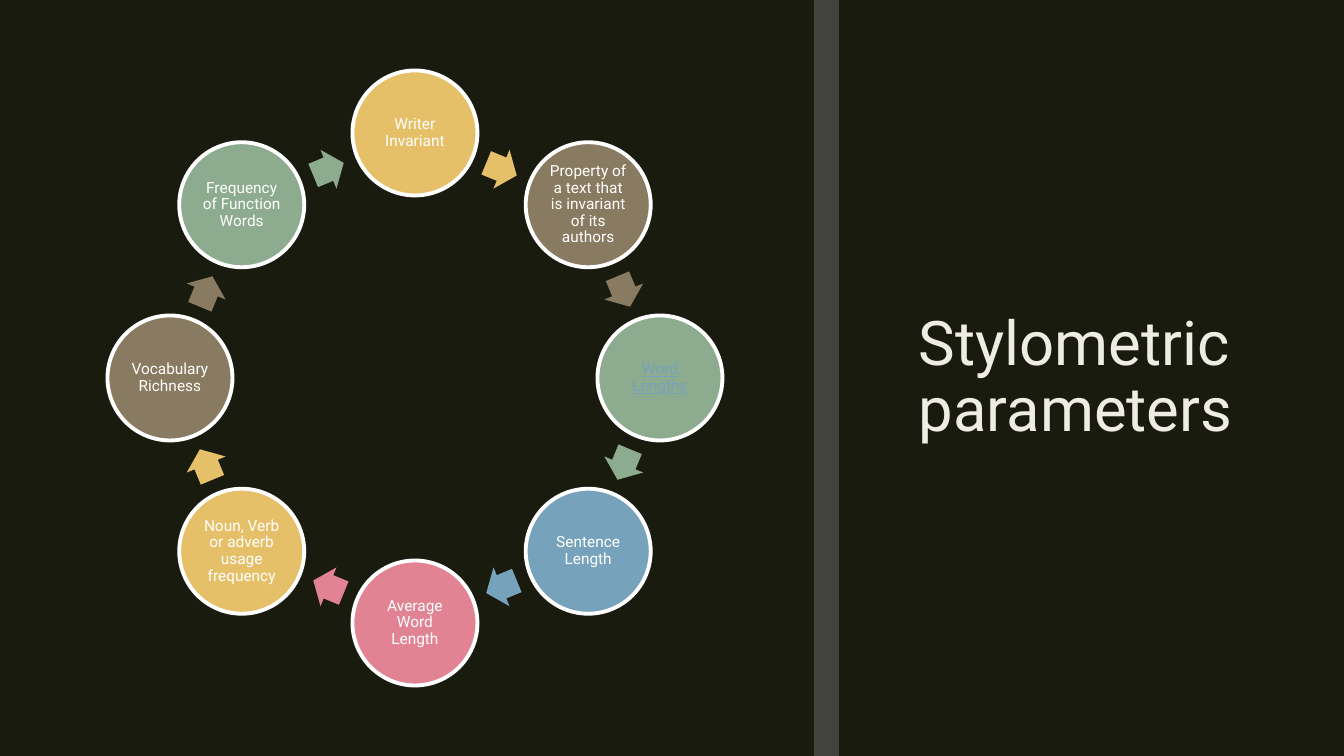
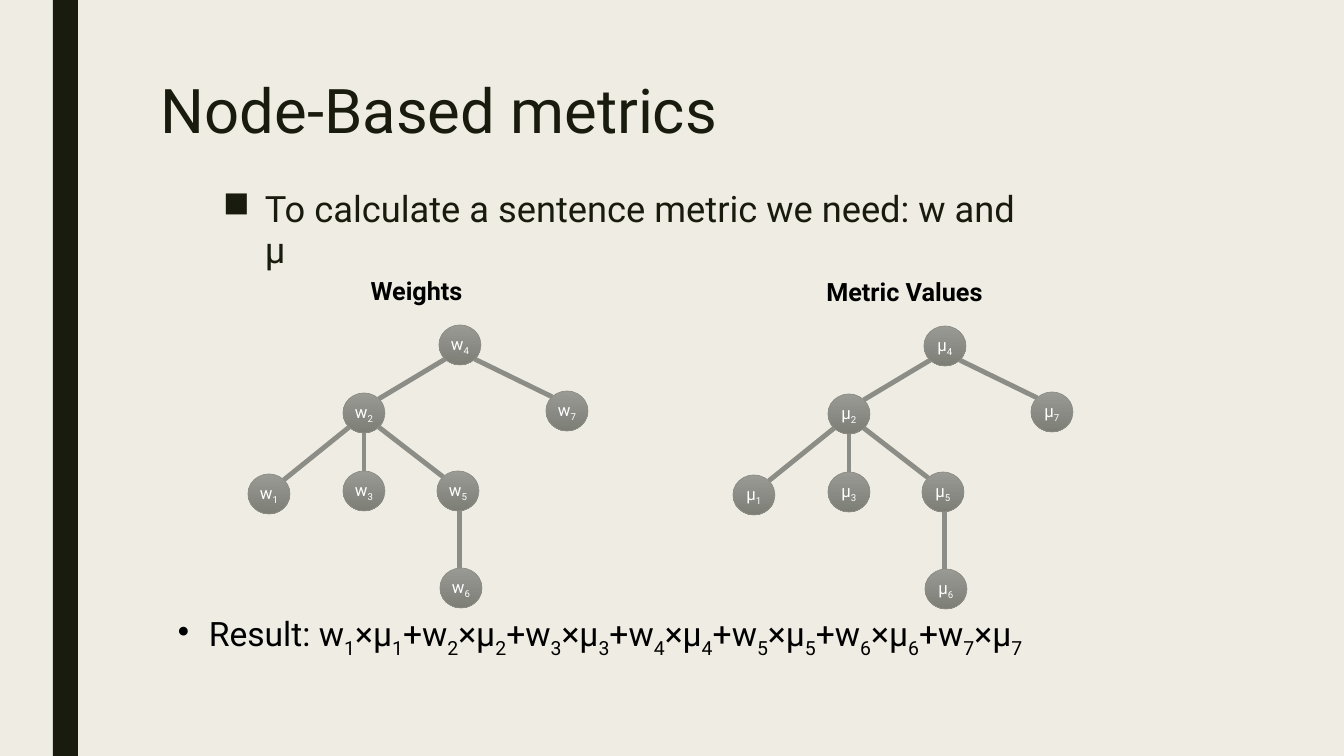
"""Build two slides on stylometry: a ring of parameters and a pair of metric trees."""
from dataclasses import dataclass
from math import cos, radians, sin
from typing import NamedTuple

from lxml import etree
from pptx import Presentation
from pptx import util as u
from pptx.dml.color import RGBColor
from pptx.enum import shapes, text
from pptx.oxml.ns import qn
from pptx.shapes.autoshape import Shape
from pptx.slide import Slide
from pptx.text.text import TextFrame

EMU_PER_INCH = 914400
PX_PER_INCH = 100.8
SLIDE_W, SLIDE_H = 1344, 756
BAND_W = 25
FONT = "Roboto"
COLORS = {
    "dark": "191B0E", "cream": "EFEDE3", "white": "FFFFFF", "black": "000000",
    "band": "808080", "gold": "E6C069", "brown": "897B61", "green": "8DAB8E",
    "blue": "77A2BB", "pink": "E28394", "node_top": "999A94",
    "node_bottom": "7D7E76", "edge": "8C8D86",
}


class Box(NamedTuple):
    left: float
    top: float
    width: float
    height: float


class Run(NamedTuple):
    words: str
    subscript: bool = False


@dataclass(frozen=True)
class Style:
    size: float
    color: str
    bold: bool = False
    underline: bool = False
    centered: bool = False
    middle: bool = False
    spacing: float = 1.0
    inset: int | None = None
    bullet: str = ""
    indent: int = 0


@dataclass(frozen=True)
class Parameter:
    label: str
    color: str
    text_color: str = "white"
    underline: bool = False


@dataclass(frozen=True)
class Tree:
    heading: str
    symbol: str
    heading_left: int
    dx: int
    dy: int


PARAMETERS = [
    Parameter("Writer Invariant", "gold"),
    Parameter("Property of a text that is invariant of its authors", "brown"),
    Parameter("Word Lengths", "green", "blue", True),
    Parameter("Sentence Length", "blue"),
    Parameter("Average Word Length", "pink"),
    Parameter("Noun, Verb or adverb usage frequency", "gold"),
    Parameter("Vocabulary Richness", "brown"),
    Parameter("Frequency of Function Words", "green"),
]
RING_X, RING_Y = 415, 378
CIRCLE_RADIUS, ARROW_RADIUS = 245, 226
CIRCLE_SIZE, ARROW_W, ARROW_H = 125, 33, 42

TREES = [
    Tree("Weights", "w", 245, 0, 0),
    Tree("Metric Values", "μ", 733, 485, 1),
]
NODE_CENTERS = {
    1: (269, 494), 2: (364, 413), 3: (364, 491), 4: (460, 345),
    5: (458, 491), 6: (461, 588), 7: (567, 411),
}
BRANCHES = [(4, 2), (4, 7), (2, 1), (2, 3), (2, 5), (5, 6)]
NODE_W, NODE_H = 42, 40
NEARLY_VERTICAL = 8


def px(length: float) -> int:
    return round(length * EMU_PER_INCH / PX_PER_INCH)


def rgb(name: str) -> RGBColor:
    return RGBColor.from_string(COLORS[name])


def centered_box(x: float, y: float, width: int, height: int) -> Box:
    return Box(x - width / 2, y - height / 2, width, height)


def write(frame: TextFrame, runs: list[Run], style: Style) -> None:
    frame.word_wrap = True
    frame.vertical_anchor = text.MSO_ANCHOR.MIDDLE if style.middle else text.MSO_ANCHOR.TOP
    if style.inset is not None:
        frame.margin_left = frame.margin_right = px(style.inset)
        frame.margin_top = frame.margin_bottom = px(style.inset)
    paragraph = frame.paragraphs[0]
    paragraph.alignment = text.PP_ALIGN.CENTER if style.centered else text.PP_ALIGN.LEFT
    paragraph.line_spacing = style.spacing
    if style.bullet:
        properties = paragraph._p.get_or_add_pPr()
        properties.set("marL", str(px(style.indent)))
        properties.set("indent", str(-px(style.indent)))
        etree.SubElement(properties, qn("a:buChar")).set("char", style.bullet)
    for part in runs:
        run = paragraph.add_run()
        run.text = part.words
        font = run.font
        font.name, font.size = FONT, u.Pt(style.size)
        font.bold, font.underline = style.bold, style.underline
        font.color.rgb = rgb(style.color)
        if part.subscript:
            run._r.get_or_add_rPr().set("baseline", "-25000")


def add_text(slide: Slide, box: Box, runs: list[Run], style: Style) -> None:
    write(slide.shapes.add_textbox(*map(px, box)).text_frame, runs, style)


def add_preset(slide: Slide, kind: shapes.MSO_SHAPE, box: Box, fill: str) -> Shape:
    shape = slide.shapes.add_shape(kind, *map(px, box))
    shape.shadow.inherit = False
    shape.fill.solid()
    shape.fill.fore_color.rgb = rgb(fill)
    shape.line.fill.background()
    return shape


def set_outline(shape: Shape, color: str, width: float) -> None:
    shape.line.color.rgb = rgb(color)
    shape.line.width = u.Pt(width)


def add_base(deck: Presentation, background: str, band: str, band_left: int,
             title: str, title_box: Box, title_style: Style) -> tuple[Slide, Shape]:
    slide = deck.slides.add_slide(deck.slide_layouts[6])
    slide.background.fill.solid()
    slide.background.fill.fore_color.rgb = rgb(background)
    stripe = add_preset(slide, shapes.MSO_SHAPE.RECTANGLE,
                        Box(band_left, 0, BAND_W, SLIDE_H), band)
    add_text(slide, title_box, [Run(title)], title_style)
    return slide, stripe


def ring_point(angle: float, radius: int) -> tuple[float, float]:
    return RING_X + radius * sin(radians(angle)), RING_Y - radius * cos(radians(angle))


def add_parameter(slide: Slide, parameter: Parameter, angle: float, step: float) -> None:
    circle = add_preset(slide, shapes.MSO_SHAPE.OVAL,
                        centered_box(*ring_point(angle, CIRCLE_RADIUS), CIRCLE_SIZE, CIRCLE_SIZE),
                        parameter.color)
    set_outline(circle, "white", 2.75)
    write(circle.text_frame, [Run(parameter.label)],
          Style(11, parameter.text_color, underline=parameter.underline,
                centered=True, middle=True, spacing=0.9, inset=2))
    turn = angle + step / 2
    arrow = add_preset(slide, shapes.MSO_SHAPE.RIGHT_ARROW,
                       centered_box(*ring_point(turn, ARROW_RADIUS), ARROW_W, ARROW_H),
                       parameter.color)
    arrow.adjustments[0], arrow.adjustments[1] = 0.6, 0.5
    arrow.rotation = turn


def add_branch(slide: Slide, parent: tuple[int, int], child: tuple[int, int]) -> None:
    (x1, y1), (x2, y2) = parent, child
    if abs(x2 - x1) < NEARLY_VERTICAL:
        x1 = x2 = (x1 + x2) / 2
        drop = NODE_H / 2
    else:
        reach = NODE_W / 2 * cos(radians(45)) * (1 if x2 > x1 else -1)
        x1, x2 = x1 + reach, x2 - reach
        drop = NODE_H / 2 * sin(radians(45))
    ends = map(px, (x1, y1 + drop, x2, y2 - drop))
    branch = slide.shapes.add_connector(shapes.MSO_CONNECTOR.STRAIGHT, *ends)
    branch.line.color.rgb = rgb("edge")
    branch.line.width = u.Pt(3.5)
    etree.SubElement(branch._element.spPr, qn("a:effectLst"))


def add_node(slide: Slide, center: tuple[int, int], symbol: str, number: int) -> None:
    node = add_preset(slide, shapes.MSO_SHAPE.OVAL,
                      centered_box(*center, NODE_W, NODE_H), "edge")
    node.fill.gradient()
    node.fill.gradient_angle = 270
    for stop, color in zip(node.fill.gradient_stops, ("node_top", "node_bottom")):
        stop.color.rgb = rgb(color)
    set_outline(node, "edge", 0.5)
    write(node.text_frame, [Run(symbol), Run(str(number), True)],
          Style(12, "white", centered=True, middle=True, inset=0))


def add_tree(slide: Slide, tree: Tree) -> None:
    add_text(slide, Box(tree.heading_left, 270 + tree.dy, 343, 40), [Run(tree.heading)],
             Style(18, "black", bold=True, centered=True))
    centers = {number: (x + tree.dx, y + tree.dy) for number, (x, y) in NODE_CENTERS.items()}
    for parent, child in BRANCHES:
        add_branch(slide, centers[parent], centers[child])
    for number, center in centers.items():
        add_node(slide, center, tree.symbol, number)


def result_runs() -> list[Run]:
    runs = []
    for number in NODE_CENTERS:
        lead = "Result: w" if number == 1 else "+w"
        index = Run(str(number), True)
        runs += [Run(lead), index, Run("×μ"), index]
    return runs


def build_parameters(deck: Presentation) -> None:
    slide, stripe = add_base(deck, "dark", "band", 814, "Stylometric parameters",
                             Box(909, 71, 364, 615),
                             Style(44, "cream", middle=True, spacing=0.89))
    tint = stripe._element.spPr.find(".//" + qn("a:srgbClr"))
    etree.SubElement(tint, qn("a:alpha")).set("val", "40000")
    step = 360 / len(PARAMETERS)
    for position, parameter in enumerate(PARAMETERS):
        add_parameter(slide, parameter, position * step, step)


def build_metrics(deck: Presentation) -> None:
    slide, _ = add_base(deck, "cream", "dark", 53, "Node-Based metrics",
                        Box(151, 76, 1058, 163), Style(44, "dark", spacing=0.89))
    add_text(slide, Box(213, 185, 836, 69),
             [Run("To calculate a sentence metric we need: w and μ")],
             Style(25.9, "dark", spacing=0.94, bullet="■", indent=42))
    for tree in TREES:
        add_tree(slide, tree)
    add_text(slide, Box(168, 608, 1008, 109), result_runs(),
             Style(24, "black", bullet="•", indent=31))


def main() -> None:
    deck = Presentation()
    deck.slide_width, deck.slide_height = px(SLIDE_W), px(SLIDE_H)
    build_parameters(deck)
    build_metrics(deck)
    deck.save("out.pptx")


if __name__ == "__main__":
    main()
